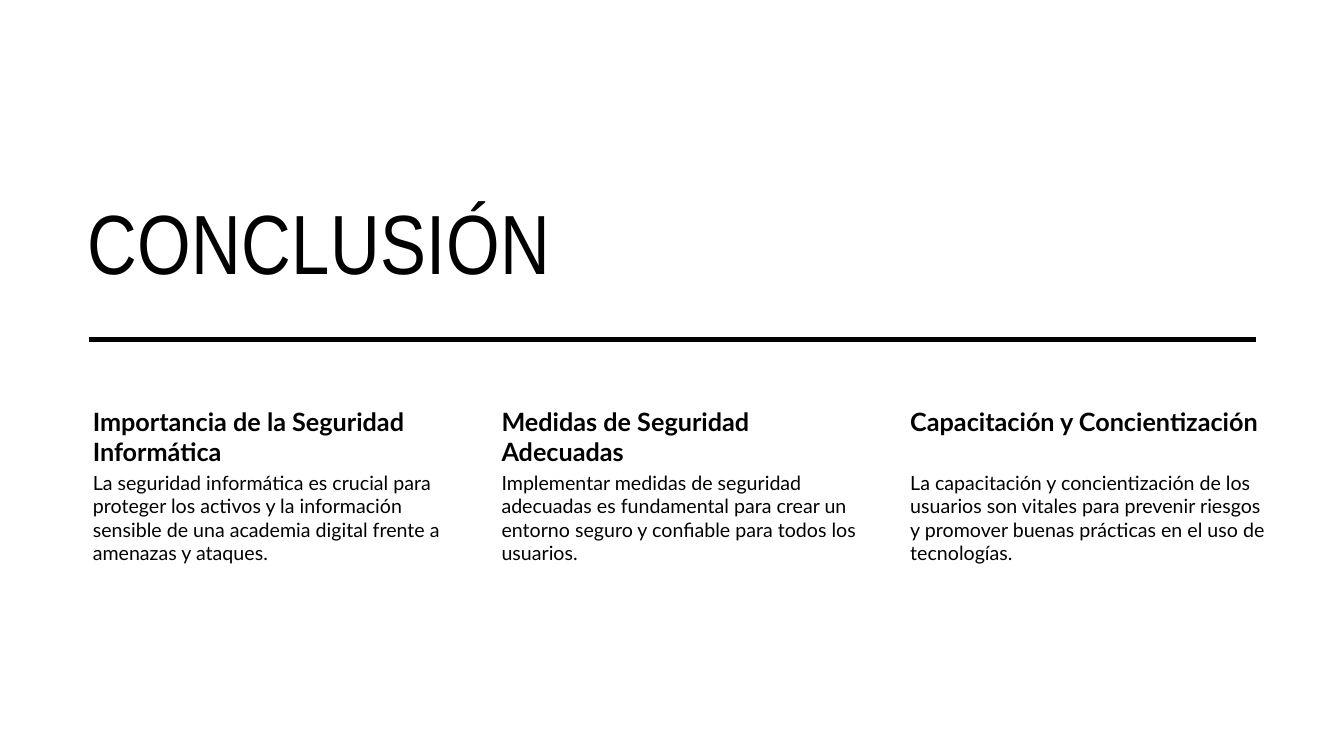
import dataclasses

import lxml.etree
import pptx
import pptx.dml.color
import pptx.enum.shapes
import pptx.enum.text
import pptx.oxml.ns
import pptx.slide
import pptx.util

Cm = pptx.util.Cm
Pt = pptx.util.Pt
Anchor = pptx.enum.text.MSO_ANCHOR

BLACK = "000000"
LEFT = 1.96
COLUMN_PITCH = 10.3
COLUMN_WIDTH = 9.37
HEADING_TOP, HEADING_HEIGHT = 10.16, 1.65
BODY_HEIGHT = 5.33


@dataclasses.dataclass(frozen=True)
class Conclusion:
    heading: str
    body: str


CONCLUSIONS = [
    Conclusion(
        "Importancia de la Seguridad Informática",
        "La seguridad informática es crucial para proteger los activos y la información "
        "sensible de una academia digital frente a amenazas y ataques.",
    ),
    Conclusion(
        "Medidas de Seguridad Adecuadas",
        "Implementar medidas de seguridad adecuadas es fundamental para crear un entorno "
        "seguro y confiable para todos los usuarios.",
    ),
    Conclusion(
        "Capacitación y Concientización",
        "La capacitación y concientización de los usuarios son vitales para prevenir riesgos "
        "y promover buenas prácticas en el uso de tecnologías.",
    ),
]


def color(value: str) -> pptx.dml.color.RGBColor:
    return pptx.dml.color.RGBColor.from_string(value)


def add_text(
    page: pptx.slide.Slide,
    text: str,
    *,
    left: float,
    top: float,
    width: float,
    height: float,
    size: float,
    font: str = "Lato",
    bold: bool = False,
    inset_left: float = 0.38,
    inset: float = 0.05,
    anchor: Anchor = Anchor.TOP,
    tracking: float = 0,
) -> None:
    """Add a text box; lengths are centimetres, size and tracking are points."""
    box = page.shapes.add_textbox(Cm(left), Cm(top), Cm(width), Cm(height))
    frame = box.text_frame
    frame.word_wrap = True
    frame.vertical_anchor = anchor
    frame.margin_left = Cm(inset_left)
    frame.margin_top = frame.margin_right = frame.margin_bottom = Cm(inset)
    span = frame.paragraphs[0].add_run()
    span.text = text
    span.font.name = font
    span.font.size = Pt(size)
    span.font.bold = bold
    span.font.color.rgb = color(BLACK)
    if tracking:
        span._r.get_or_add_rPr().set("spc", str(round(tracking * 100)))


def add_rule(page: pptx.slide.Slide, left: float, right: float, top: float) -> None:
    rule = page.shapes.add_connector(
        pptx.enum.shapes.MSO_CONNECTOR.STRAIGHT, Cm(left), Cm(top), Cm(right), Cm(top)
    )
    rule.line.color.rgb = color(BLACK)
    rule.line.width = Pt(3.5)
    lxml.etree.SubElement(rule._element.spPr, pptx.oxml.ns.qn("a:effectLst"))


def add_conclusion(page: pptx.slide.Slide, conclusion: Conclusion, left: float) -> None:
    add_text(
        page, conclusion.heading, left=left, top=HEADING_TOP, width=COLUMN_WIDTH,
        height=HEADING_HEIGHT, size=18, bold=True, inset=0.08,
    )
    add_text(
        page, conclusion.body, left=left, top=HEADING_TOP + HEADING_HEIGHT,
        width=COLUMN_WIDTH, height=BODY_HEIGHT, size=14,
    )


def main() -> None:
    deck = pptx.Presentation()
    deck.slide_width, deck.slide_height = Cm(33.87), Cm(19.05)
    page = deck.slides.add_slide(deck.slide_layouts[6])
    add_text(
        page, "CONCLUSIÓN", left=LEFT, top=3.56, width=22.2, height=3.91, size=60,
        font="Arial Narrow", inset_left=0.25, inset=0.13, anchor=Anchor.BOTTOM, tracking=0.3,
    )
    for index, conclusion in enumerate(CONCLUSIONS):
        add_conclusion(page, conclusion, LEFT + index * COLUMN_PITCH)
    add_rule(page, left=2.24, right=31.65, top=8.56)
    deck.save("out.pptx")


if __name__ == "__main__":
    main()
